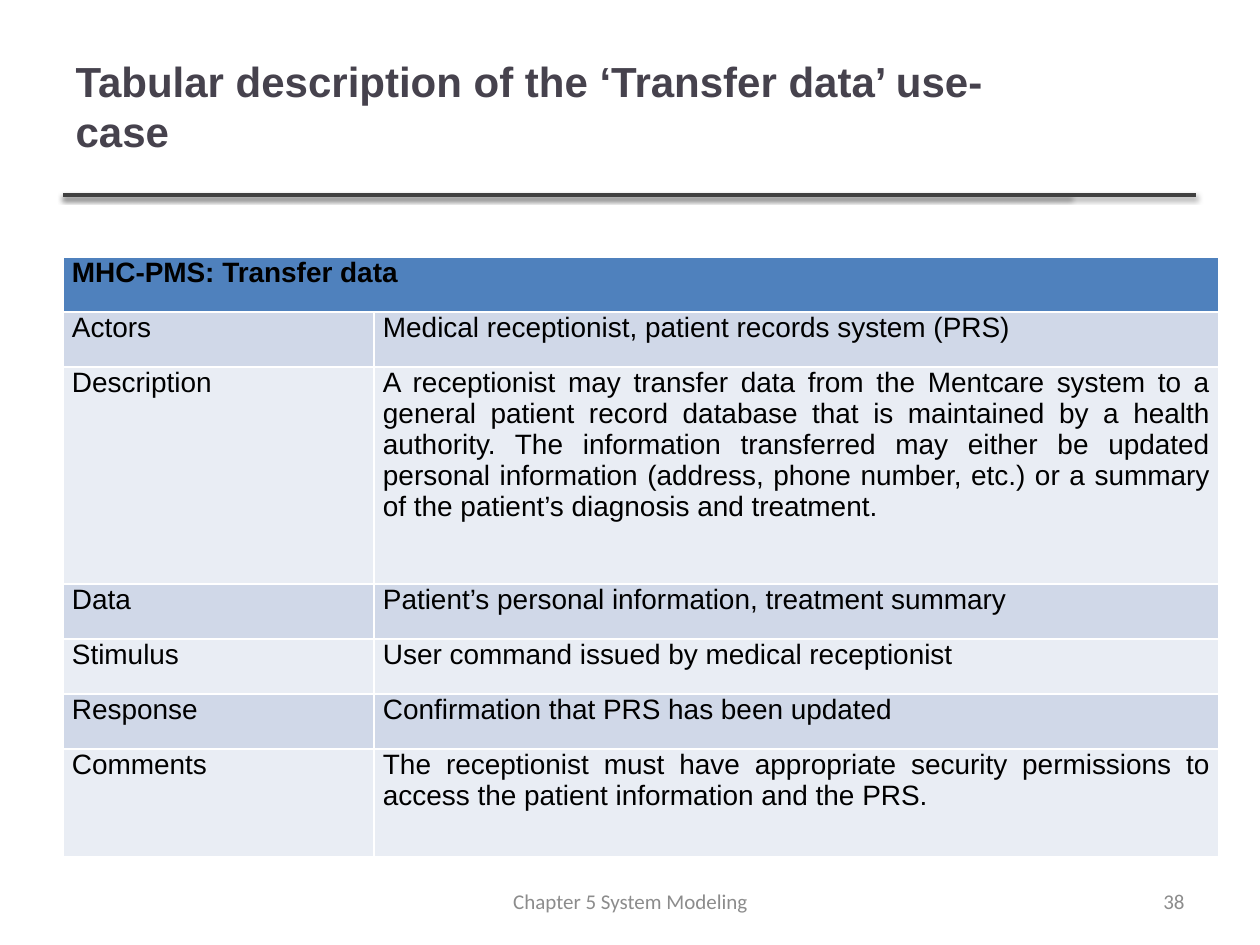
from pptx import Presentation
from pptx.dml.color import RGBColor
from pptx.enum.shapes import MSO_CONNECTOR
from pptx.enum.text import MSO_ANCHOR as ANCHOR, PP_ALIGN as ALIGN
from pptx.oxml import parse_xml
from pptx.oxml.ns import nsdecls, qn
from pptx.util import Emu, Pt

TITLE = RGBColor(0x46, 0x42, 0x4D)
RULE = RGBColor(0x40, 0x40, 0x40)
FOOTER = RGBColor(0x8C, 0x8C, 0x8C)
BLACK = RGBColor(0x00, 0x00, 0x00)
HEADER = RGBColor(0x4F, 0x81, 0xBD)
BANDS = (RGBColor(0xE9, 0xED, 0xF4), RGBColor(0xD0, 0xD8, 0xE8))

SHADOW = (
    f'<a:effectLst {nsdecls("a")}><a:outerShdw blurRad="40000" dist="20000" dir="5400000" '
    'rotWithShape="0"><a:srgbClr val="000000"><a:alpha val="38000"/></a:srgbClr>'
    '</a:outerShdw></a:effectLst>'
)

ROWS = [
    ("MHC-PMS: Transfer data", ""),
    ("Actors", "Medical receptionist, patient records system (PRS)"),
    ("Description",
     "A receptionist may transfer data from the Mentcare system to a general patient record "
     "database that is maintained by a health authority. The information transferred may either "
     "be updated personal information (address, phone number, etc.) or a summary of the "
     "patient’s diagnosis and treatment."),
    ("Data", "Patient’s personal information, treatment summary"),
    ("Stimulus", "User command issued by medical receptionist"),
    ("Response", "Confirmation that PRS has been updated"),
    ("Comments",
     "The receptionist must have appropriate security permissions to access the patient "
     "information and the PRS."),
]
COL_WIDTHS = (311, 845)
ROW_HEIGHTS = (55, 55, 217, 55, 55, 55, 108)


def px(n):
    """Turn whole pixels into EMU."""
    return Emu(round(n * 914400 / 126))


class SlideBuilder:
    """Hold the style and the current slide."""

    def __init__(self, prs):
        """Add a title-only slide."""
        self.s = prs.slides.add_slide(prs.slide_layouts[5])

    def set_text(self, tf, text, size, color, align, font="Arial", bold=False):
        """Set one formatted paragraph."""
        tf.text = text
        tf.word_wrap = True
        p = tf.paragraphs[0]
        p.alignment = align
        for r in p.runs:
            r.font.name = font
            r.font.size = Pt(size)
            r.font.bold = bold
            r.font.color.rgb = color

    def title(self, text, x, y, w, h):
        """Place and fill the title placeholder."""
        sp = self.s.shapes.title
        sp.left, sp.top, sp.width, sp.height = map(px, (x, y, w, h))
        self.set_text(sp.text_frame, text, 24, TITLE, ALIGN.LEFT, bold=True)
        sp.text_frame.vertical_anchor = ANCHOR.MIDDLE

    def rule(self, x, y, w):
        """Draw a shadowed horizontal line."""
        line = self.s.shapes.add_connector(MSO_CONNECTOR.STRAIGHT, px(x), px(y), px(x + w), px(y))
        line.line.color.rgb = RULE
        line.line.width = Pt(2)
        line._element.find(qn("p:spPr")).append(parse_xml(SHADOW))

    def footer(self, text, x, y, w, h, align):
        """Add a small grey text box."""
        tf = self.s.shapes.add_textbox(px(x), px(y), px(w), px(h)).text_frame
        self.set_text(tf, text, 12, FOOTER, align, font="Calibri")
        tf.vertical_anchor = ANCHOR.MIDDLE

    def table(self, rows, x, y, widths, heights):
        """Add a banded table whose first row spans all columns."""
        shape = self.s.shapes.add_table(
            len(rows), len(widths), px(x), px(y), px(sum(widths)), px(sum(heights)))
        tbl = shape.table
        for col, w in zip(tbl.columns, widths):
            col.width = px(w)
        for i, (row, h) in enumerate(zip(rows, heights)):
            tbl.rows[i].height = px(h)
            for cell, text in zip(tbl.rows[i].cells, row):
                cell.fill.solid()
                cell.fill.fore_color.rgb = BANDS[i % 2] if i else HEADER
                cell.margin_left = cell.margin_right = px(9)
                cell.margin_top = cell.margin_bottom = 0
                self.set_text(cell.text_frame, text, 16, BLACK, ALIGN.JUSTIFY, bold=i == 0)
        tbl.cell(0, 0).merge(tbl.cell(0, len(widths) - 1))


def main():
    """Build and save the slide."""
    prs = Presentation()
    prs.slide_width, prs.slide_height = px(1260), px(945)
    b = SlideBuilder(prs)
    for width in (1007, 1133):
        b.rule(63, 195, width)
    b.title("Tabular description of the ‘Transfer data’ use-case", 63, 38, 1006, 135)
    b.footer("Chapter 5 System Modeling", 431, 876, 399, 50, ALIGN.CENTER)
    b.footer("38", 903, 876, 294, 50, ALIGN.RIGHT)
    b.table(ROWS, 63, 257, COL_WIDTHS, ROW_HEIGHTS)
    prs.save("out.pptx")


if __name__ == "__main__":
    main()
